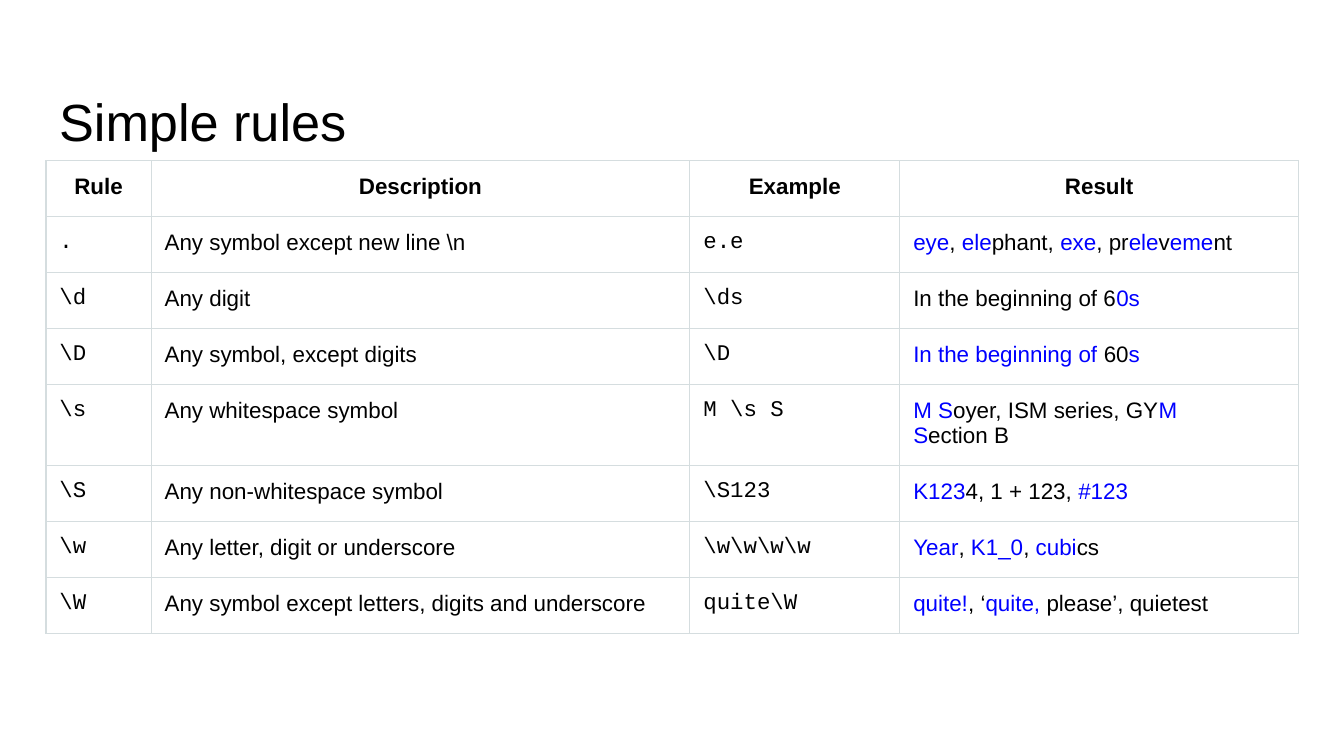
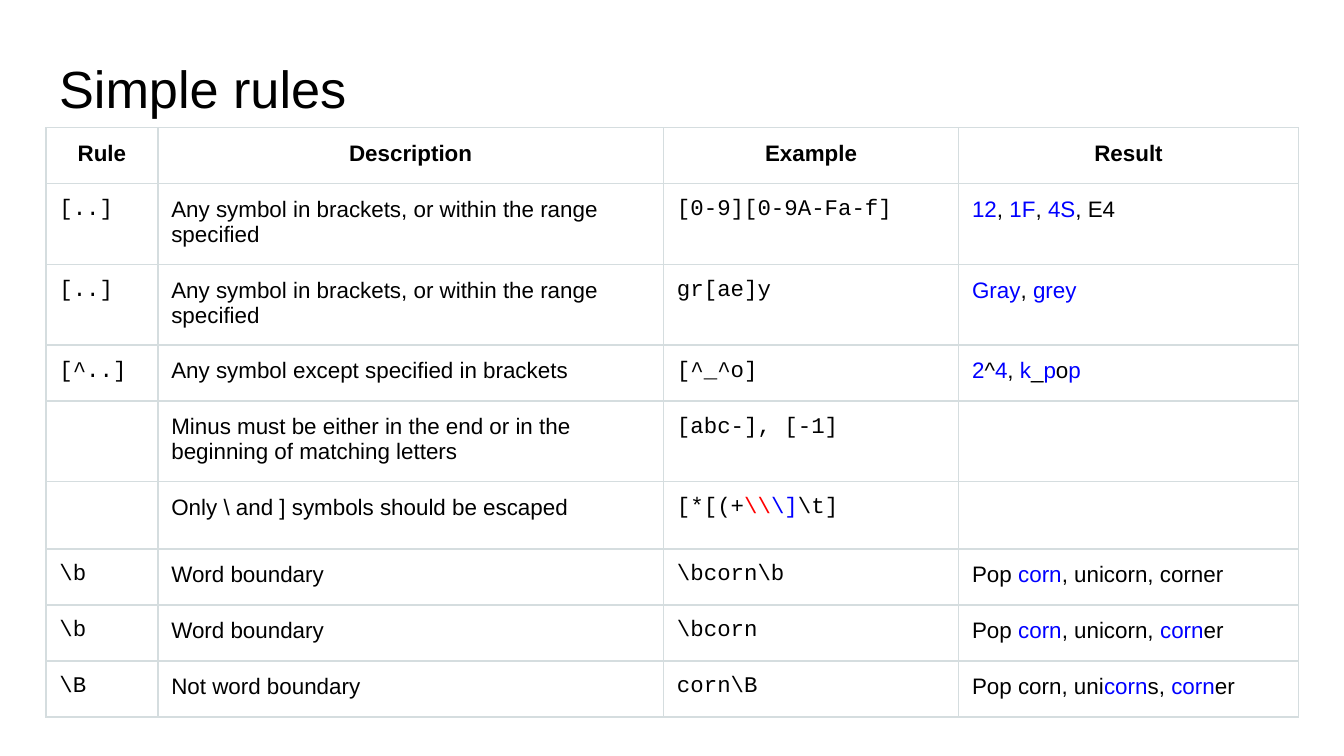
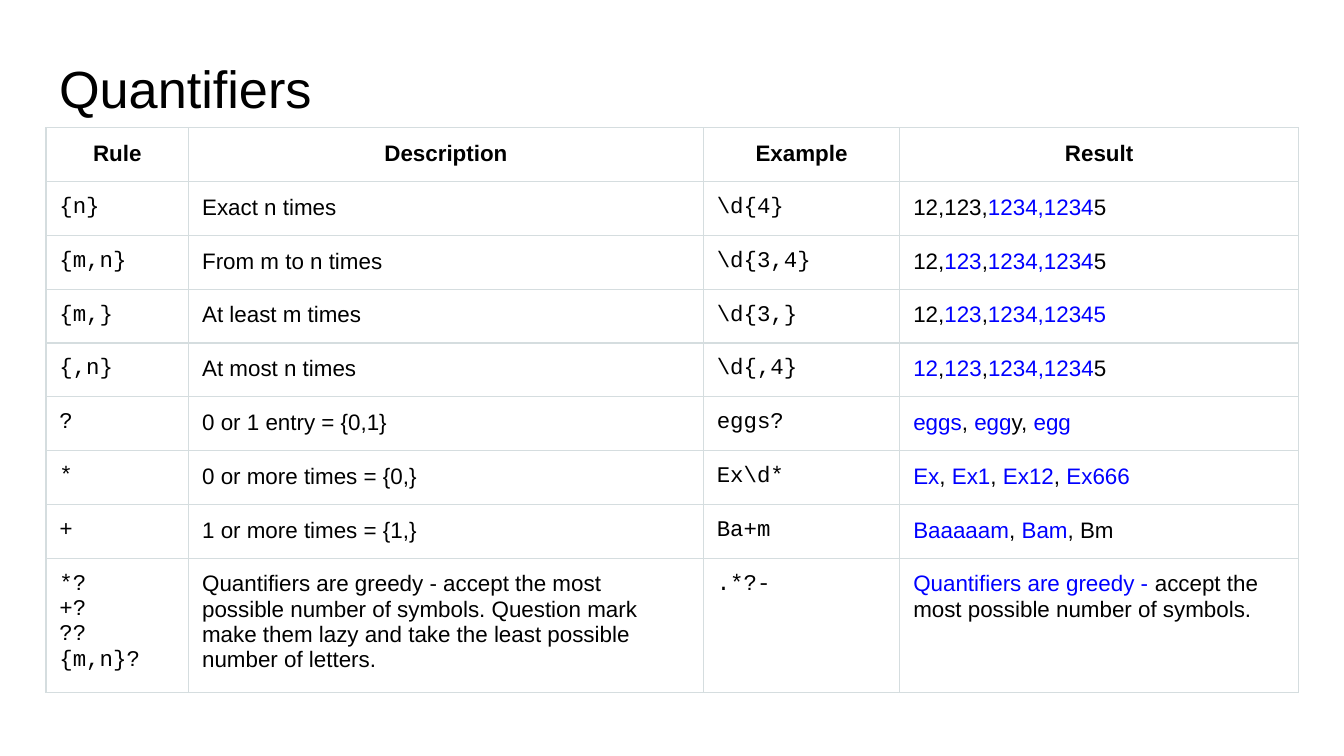
from dataclasses import dataclass

from lxml import etree
from pptx import Presentation
from pptx import util as u
from pptx.dml import color
from pptx.enum import text
from pptx.oxml import ns

PX = 3810


@dataclass(frozen=True)
class Theme:
    ink: str = "000000"
    match: str = "0000FF"
    escape: str = "FF0000"
    border: str = "D5DDDF"
    border_width: int = 9525
    sans: str = "Arial"
    mono: str = "Courier New"
    title_size: int = 28
    body_size: int = 12
    empty_size: int = 18
    inset: int = 24


T = Theme()
HEADERS = ("Rule", "Description", "Example", "Result")
COLUMN_FONTS = (T.mono, T.sans, T.mono, T.sans)
MARGINS = {"margin_" + side: T.inset * PX for side in ("left", "right", "top", "bottom")}

SYMBOL_RULES = [
    (".", r"Any symbol except new line \n", "e.e",
     "~eye~, ~ele~phant, ~exe~, pr~ele~v~eme~nt"),
    (r"\d", "Any digit", r"\ds", "In the beginning of 6~0s~"),
    (r"\D", "Any symbol, except digits", r"\D", "~In the beginning of ~60~s~"),
    (r"\s", "Any whitespace symbol", r"M \s S",
     "~M S~oyer, ISM series, GY~M~\n~S~ection B"),
    (r"\S", "Any non-whitespace symbol", r"\S123", "~K123~4, 1 + 123, ~#123~"),
    (r"\w", "Any letter, digit or underscore", r"\w\w\w\w", "~Year~, ~K1_0~, ~cubi~cs"),
    (r"\W", "Any symbol except letters, digits and underscore", r"quite\W",
     "~quite!~, ‘~quite,~ please’, quietest"),
]

IN_BRACKETS = "Any symbol in brackets, or within the range specified"
ESCAPED = [("[*[(+", T.ink), (r"\\", T.escape), (r"\]", T.match), (r"\t]", T.ink)]
BRACKET_RULES = [
    ("[..]", IN_BRACKETS, "[0-9][0-9A-Fa-f]", "~12~, ~1F~, ~4S~, E4"),
    ("[..]", IN_BRACKETS, "gr[ae]y", "~Gray~,~ grey~"),
    ("[^..]", "Any symbol except specified in brackets", "[^_^o]", "~2~^~4~, ~k~_~p~o~p~"),
    ("", "Minus must be either in the end or in the beginning of matching letters",
     "[abc-], [-1]", ""),
    ("", r"Only \ and ] symbols should be escaped", ESCAPED, ""),
    (r"\b", "Word boundary", r"\bcorn\b", "Pop ~corn~, unicorn, corner"),
    (r"\b", "Word boundary", r"\bcorn", "Pop ~corn~, unicorn, ~corn~er"),
    (r"\B", "Not word boundary", r"corn\B", "Pop corn, uni~corn~s, ~corn~er"),
]

QUANTIFIERS = [
    ("{n}", "Exact n times", r"\d{4}", "12,123,~1234,1234~5"),
    ("{m,n}", "From m to n times", r"\d{3,4}", "12,~123~,~1234,1234~5"),
    ("{m,}", "At least m times", r"\d{3,}", "12,~123~,~1234,12345~"),
    ("{,n}", "At most n times", r"\d{,4}", "~12~,~123~,~1234,1234~5"),
    ("?", "0 or 1 entry = {0,1}", "eggs?", "~eggs~, ~egg~y, ~egg~"),
    ("*", "0 or more times = {0,}", r"Ex\d*", "~Ex~,~ Ex1~, ~Ex12~, ~Ex666~"),
    ("+", "1 or more times = {1,}", "Ba+m", "~Baaaaam~, ~Bam~, Bm"),
    ("*?\n+?\n??\n{m,n}?",
     "Quantifiers are greedy - accept the most possible number of symbols. "
     "Question mark make them lazy and take the least possible number of letters.",
     ".*?-", "~Quantifiers are greedy - ~accept the most possible number of symbols."),
]


def apply(target, values):
    for name, value in values.items():
        setattr(target, name, value)


def set_default_font(prs):
    for root in (prs.element, prs.slide_master.element):
        for latin in root.iter(ns.qn("a:latin")):
            latin.set("typeface", T.sans)


def add_run(p, words, font, size, rgb=T.ink, bold=False):
    r = p.add_run()
    r.text = words
    apply(r.font, {"name": font, "size": u.Pt(size), "bold": bold})
    r.font.color.rgb = color.RGBColor.from_string(rgb)


def marked_runs(line):
    return [(part, T.match if i % 2 else T.ink)
            for i, part in enumerate(line.split("~")) if part]


def fill_text(tf, content, font, bold=False, align=None):
    if not content:
        end = etree.SubElement(tf.paragraphs[0]._p, ns.qn("a:endParaRPr"),
                               sz=str(T.empty_size * 100))
        etree.SubElement(end, ns.qn("a:latin"), typeface=T.sans)
        return
    lines = map(marked_runs, content.split("\n")) if isinstance(content, str) else [content]
    for i, runs in enumerate(lines):
        p = tf.add_paragraph() if i else tf.paragraphs[0]
        p.alignment = align
        for words, rgb in runs:
            add_run(p, words, font, T.body_size, rgb, bold)


def style_cell(cell):
    apply(cell, MARGINS)
    tc_pr = cell._tc.get_or_add_tcPr()
    for side in ("lnL", "lnR", "lnT", "lnB"):
        ln = etree.SubElement(tc_pr, ns.qn("a:" + side), w=str(T.border_width))
        fill = etree.SubElement(ln, ns.qn("a:solidFill"))
        etree.SubElement(fill, ns.qn("a:srgbClr"), val=T.border)
    cell.fill.background()


def add_title(s, box, words):
    tf = s.shapes.add_textbox(*(n * PX for n in box)).text_frame
    apply(tf, {"word_wrap": True, "vertical_anchor": text.MSO_ANCHOR.TOP, **MARGINS})
    add_run(tf.paragraphs[0], words, T.sans, T.title_size)


def add_rules(s, left, top, widths, heights, rules):
    frame = s.shapes.add_table(len(heights), len(widths), left * PX, top * PX,
                               sum(widths) * PX, sum(heights) * PX)
    table = frame.table
    apply(table, {"first_row": False, "horz_banding": False})
    tbl_pr = table._tbl.tblPr
    tbl_pr.remove(tbl_pr.find(ns.qn("a:tableStyleId")))
    for column, width in zip(table.columns, widths):
        column.width = width * PX
    for row, height in zip(table.rows, heights):
        row.height = height * PX
    for i, row in enumerate([HEADERS, *rules]):
        for j, content in enumerate(row):
            cell = table.cell(i, j)
            style_cell(cell)
            if i:
                fill_text(cell.text_frame, content, COLUMN_FONTS[j])
            else:
                fill_text(cell.text_frame, content, T.sans, True, text.PP_ALIGN.CENTER)


def rules_slide(prs, title, top, widths, heights, rules):
    s = prs.slides.add_slide(prs.slide_layouts[6])
    left, title_height = 82, 151
    add_title(s, (left, top, sum(widths), title_height), title)
    add_rules(s, left, top + title_height, widths, heights, rules)


def main():
    prs = Presentation()
    apply(prs, {"slide_width": 2400 * PX, "slide_height": 1350 * PX})
    set_default_font(prs)
    rules_slide(prs, "Simple rules", 136, (188, 962, 375, 712), [100] * 8, SYMBOL_RULES)
    rules_slide(prs, "Simple rules", 77, (200, 903, 527, 607), [100] * 9, BRACKET_RULES)
    rules_slide(prs, "Quantifiers", 77, (255, 919, 351, 712),
                [92] + [93] * 7 + [240], QUANTIFIERS)
    prs.save("out.pptx")


if __name__ == "__main__":
    main()
